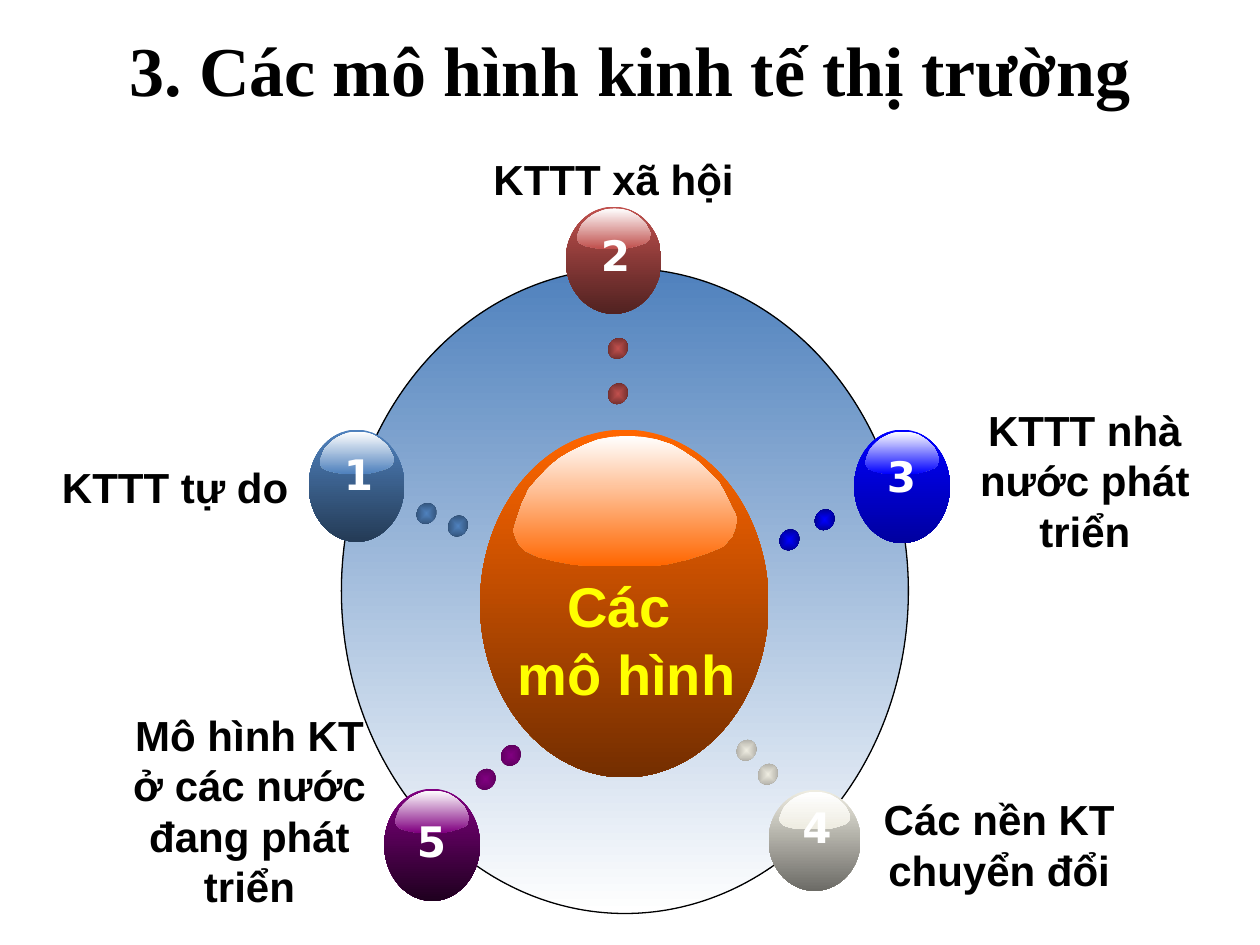
from lxml import etree
from pptx import Presentation
from pptx.dml.color import RGBColor
from pptx.enum.shapes import MSO_SHAPE
from pptx.enum.text import MSO_ANCHOR, PP_ALIGN
from pptx.oxml.ns import qn
from pptx.util import Inches, Pt

OVAL = MSO_SHAPE.OVAL
CENTER = PP_ALIGN.CENTER
TOP, MIDDLE = MSO_ANCHOR.TOP, MSO_ANCHOR.MIDDLE

BLACK = RGBColor(0x00, 0x00, 0x00)
WHITE = RGBColor(0xFF, 0xFF, 0xFF)
YELLOW = RGBColor(0xFF, 0xFF, 0x00)
ORANGE, BROWN = RGBColor(0xFF, 0x66, 0x00), RGBColor(0x74, 0x2E, 0x00)
BLUE, NAVY = RGBColor(0x4F, 0x81, 0xBD), RGBColor(0x24, 0x3B, 0x56)
BLUE_EDGE = RGBColor(0x2A, 0x45, 0x65)
RED, MAROON = RGBColor(0xC0, 0x50, 0x4D), RGBColor(0x51, 0x22, 0x21)
RED_EDGE = RGBColor(0x5A, 0x25, 0x24)
PURE_BLUE, DEEP_BLUE = RGBColor(0x00, 0x00, 0xFF), RGBColor(0x00, 0x00, 0x9F)
DEEP_BLUE_EDGE = RGBColor(0x00, 0x00, 0x71)
CREAM, GREY = RGBColor(0xEE, 0xEC, 0xE1), RGBColor(0x6C, 0x6B, 0x66)
CREAM_EDGE = RGBColor(0x9F, 0x9D, 0x96)
PURPLE, PLUM = RGBColor(0x80, 0x00, 0x80), RGBColor(0x1F, 0x00, 0x1F)
PURPLE_EDGE = RGBColor(0x55, 0x00, 0x55)

# Content; boxes are (left, top, width, height) in inches
TITLE = "3. Các mô hình kinh tế thị trường"
TITLE_BOX = (0.5, 0, 9, 1.08)
RING_BOX = (2.71, 2.13, 4.5, 5.12)
HUB_BOX = (3.81, 3.41, 2.29, 2.76)
HUB_TEXT = ["Các ", "mô hình"]
HUB_TEXT_BOX = (4.01, 4.49, 1.93, 1.17)

MODELS = [
    dict(number="1", label="KTTT tự do", label_box=(0.33, 3.61, 2.12, 0.5),
         ball=(2.45, 3.41, 0.76, 0.89), number_at=(2.63, 3.51),
         dots=[(3.3, 4.0), (3.55, 4.1)], colors=(BLUE, NAVY, BLUE_EDGE)),
    dict(number="2", label="KTTT xã hội", label_box=(3.81, 1.17, 2.12, 0.5),
         ball=(4.49, 1.64, 0.76, 0.85), number_at=(4.67, 1.77),
         dots=[(4.82, 2.69), (4.82, 3.05)], colors=(RED, MAROON, RED_EDGE)),
    dict(number="3", label="KTTT nhà nước phát triển",
         label_box=(7.55, 3.16, 2.12, 1.3),
         ball=(6.78, 3.41, 0.76, 0.9), number_at=(6.94, 3.53),
         dots=[(6.46, 4.05), (6.18, 4.21)],
         colors=(PURE_BLUE, DEEP_BLUE, DEEP_BLUE_EDGE)),
    dict(number="4", label="Các nền KT chuyển đổi",
         label_box=(6.87, 6.25, 2.12, 0.9),
         ball=(6.1, 6.27, 0.73, 0.8), number_at=(6.27, 6.31),
         dots=[(6.01, 6.07), (5.84, 5.88)], colors=(CREAM, GREY, CREAM_EDGE)),
    dict(number="5", label="Mô hình KT ở các nước đang phát triển",
         label_box=(0.92, 5.58, 2.12, 1.7),
         ball=(3.05, 6.26, 0.76, 0.89), number_at=(3.21, 6.42),
         dots=[(3.77, 6.11), (3.97, 5.92)], colors=(PURPLE, PLUM, PURPLE_EDGE)),
]
NUMBER_SIZE = (0.39, 0.5)
DOT_SIZE = (0.17, 0.15)
DOT_TURN = 303.8

# Highlight on a ball: its box as shares of the ball, its outline in percent
GLOSS_SHARE = (0.115, 0.017, 0.775, 0.375)
GLOSS_OUTLINE = [
    (98, 56), (100, 62), (100, 67), (98, 77), (94, 85), (87, 90), (78, 95),
    (68, 99), (60, 100), (36, 100), (27, 99), (18, 96), (11, 93), (5, 88),
    (2, 82), (0, 73), (2, 62), (4, 52), (7, 41), (11, 33), (16, 24), (21, 17),
    (26, 12), (32, 7), (38, 3), (44, 1), (51, 0), (58, 1), (64, 3), (71, 7),
    (76, 12), (82, 19), (87, 27), (92, 36), (95, 45),
]

prs = Presentation()
prs.slide_width, prs.slide_height = Inches(10), Inches(7.5)
slide = prs.slides.add_slide(prs.slide_layouts[6])
shapes = slide.shapes


def paint(shape, start, end, from_center=False):
    """Two-colour gradient, downwards or from the centre out."""
    shape.shadow.inherit = False
    shape.line.fill.background()
    shape.fill.gradient()
    shape.fill.gradient_angle = 270
    for stop, color in zip(shape.fill.gradient_stops, (start, end)):
        stop.color.rgb = color
    if from_center:
        gradient = shape._element.spPr.find(qn("a:gradFill"))
        gradient.remove(gradient.find(qn("a:lin")))
        rect = etree.SubElement(gradient, qn("a:path"), path="rect")
        etree.SubElement(rect, qn("a:fillToRect"),
                         l="50000", t="50000", r="50000", b="50000")


def add_oval(box, start, end, from_center=False):
    oval = shapes.add_shape(OVAL, *map(Inches, box))
    paint(oval, start, end, from_center)
    return oval


def add_ball(box, start, end):
    add_oval(box, start, end)
    left, top, width, height = box
    dx, dy, share_w, share_h = GLOSS_SHARE
    points = [(Inches(left + width * (dx + share_w * x / 100)),
               Inches(top + height * (dy + share_h * y / 100)))
              for x, y in GLOSS_OUTLINE]
    builder = shapes.build_freeform(*points[0])
    builder.add_line_segments(points[1:], close=True)
    paint(builder.convert_to_shape(), WHITE, start)


def add_text(box, lines, size, color, font="Arial", wrap=True, anchor=TOP):
    frame = shapes.add_textbox(*map(Inches, box)).text_frame
    frame.word_wrap = wrap
    frame.vertical_anchor = anchor
    for i, line in enumerate(lines):
        paragraph = frame.paragraphs[0] if i == 0 else frame.add_paragraph()
        paragraph.alignment = CENTER
        run = paragraph.add_run()
        run.text = line
        run.font.name, run.font.size, run.font.bold = font, Pt(size), True
        run.font.color.rgb = color


# Title
add_text(TITLE_BOX, [TITLE], 40, BLACK, "Times New Roman", anchor=MIDDLE)

# Ring and hub
ring = add_oval(RING_BOX, BLUE, WHITE)
ring.line.color.rgb = BLACK
ring.line.width = Pt(0.75)
add_ball(HUB_BOX, ORANGE, BROWN)
add_text(HUB_TEXT_BOX, HUB_TEXT, 32, YELLOW, wrap=False)

# Numbered balls with their dots and labels
for model in MODELS:
    light, dark, edge = model["colors"]
    add_ball(model["ball"], light, dark)
    add_text(model["number_at"] + NUMBER_SIZE, [model["number"]], 24, WHITE,
             "DejaVu Sans", wrap=False)
    for dot_at in model["dots"]:
        add_oval(dot_at + DOT_SIZE, light, edge, True).rotation = DOT_TURN
    add_text(model["label_box"], [model["label"]], 24, BLACK)

prs.save("out.pptx")
